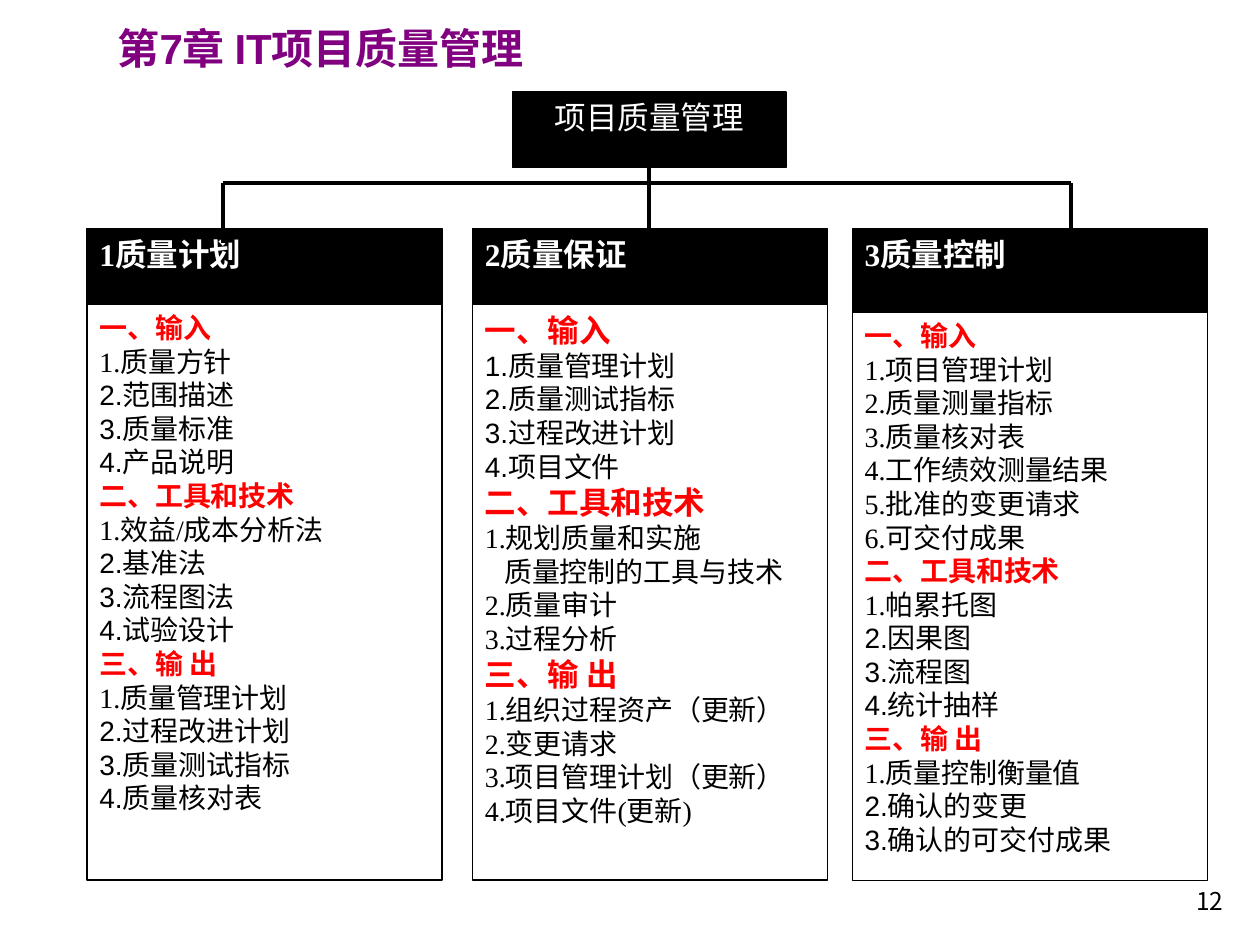
from lxml import etree
from pptx import Presentation
from pptx.dml.color import RGBColor
from pptx.enum import shapes, text
from pptx.oxml.ns import qn
from pptx.util import Pt

BLACK = RGBColor(0x00, 0x00, 0x00)
WHITE = RGBColor(0xFF, 0xFF, 0xFF)
RED = RGBColor(0xFF, 0x00, 0x00)
PURPLE = RGBColor(0x80, 0x00, 0x80)
SERIF, SANS, CJK = "Times New Roman", "Arial", "Noto Sans CJK SC"
LEFT, CENTER, RIGHT = text.PP_ALIGN.LEFT, text.PP_ALIGN.CENTER, text.PP_ALIGN.RIGHT


def write(para, words, size, font, color, bold=False, align=LEFT):
    para.text = words
    para.alignment = align
    para.line_spacing = Pt(size * 1.2)
    para.space_before = Pt(0)
    for span in para.runs:
        span.font.name = font
        span.font.size = Pt(size)
        span.font.bold = bold
        span.font.color.rgb = color
        etree.SubElement(span.font._element, qn("a:ea"), typeface=CJK)


def add_box(left, top, width, height, fill):
    box = page.shapes.add_shape(shapes.MSO_SHAPE.RECTANGLE,
                                Pt(left), Pt(top), Pt(width), Pt(height))
    box.shadow.inherit = False
    box.fill.solid()
    box.fill.fore_color.rgb = fill
    box.line.color.rgb = BLACK
    box.line.width = Pt(0.75)
    box.text_frame.vertical_anchor = text.MSO_ANCHOR.TOP
    return box.text_frame


deck = Presentation()
deck.slide_width, deck.slide_height = Pt(720), Pt(540)
page = deck.slides.add_slide(deck.slide_layouts[5])

title = page.shapes.title
title.left, title.top, title.width, title.height = Pt(60), Pt(9.4), Pt(290), Pt(36)
title.text_frame.word_wrap = False
title.text_frame.auto_size = text.MSO_AUTO_SIZE.NONE
title.text_frame.vertical_anchor = text.MSO_ANCHOR.TOP
write(title.text_frame.paragraphs[0], "第7章 IT项目质量管理", 24, SANS, PURPLE, True)

number = page.shapes.add_textbox(Pt(643.7), Pt(502.6), Pt(62.6), Pt(33.8))
number.text_frame.word_wrap = True
write(number.text_frame.paragraphs[0], "12", 14, CJK, BLACK, align=RIGHT)

root = add_box(293, 52.6, 156.2, 43.2, BLACK)
write(root.paragraphs[0], "项目质量管理", 18, SERIF, WHITE, align=CENTER)

# Column: left, header height, heading size, header, sections.
# Section: heading, how many leading items are in the serif font, items.
COLUMNS = [
    (49.7, 43.2, 16, "1质量计划", [
        ("一、输入", 1, ["1.质量方针", "2.范围描述", "3.质量标准", "4.产品说明"]),
        ("二、工具和技术", 1, ["1.效益/成本分析法", "2.基准法", "3.流程图法", "4.试验设计"]),
        ("三、输 出", 1, ["1.质量管理计划", "2.过程改进计划", "3.质量测试指标",
                       "4.质量核对表"]),
    ]),
    (270, 43.2, 18, "2质量保证", [
        ("一、输入", 0, ["1.质量管理计划", "2.质量测试指标", "3.过程改进计划", "4.项目文件"]),
        ("二、工具和技术", 5, ["1.规划质量和实施", "质量控制的工具与技术", "2.质量审计",
                          "3.过程分析"]),
        ("三、输 出", 4, ["1.组织过程资产（更新）", "2.变更请求", "3.项目管理计划（更新）",
                       "4.项目文件(更新)"]),
    ]),
    (487, 47.7, 16, "3质量控制", [
        ("一、输入", 6, ["1.项目管理计划", "2.质量测量指标", "3.质量核对表",
                     "4.工作绩效测量结果", "5.批准的变更请求", "6.可交付成果"]),
        ("二、工具和技术", 1, ["1.帕累托图", "2.因果图", "3.流程图", "4.统计抽样"]),
        ("三、输 出", 1, ["1.质量控制衡量值", "2.确认的变更", "3.确认的可交付成果"]),
    ]),
]
TOP, BOTTOM, WIDTH = 130.8, 503, 203

for left, header_height, heading_size, header, sections in COLUMNS:
    head = add_box(left, TOP, WIDTH, header_height, BLACK)
    write(head.paragraphs[0], header, 18, SERIF, WHITE, True)
    body_top = TOP + header_height
    body = add_box(left, body_top, WIDTH, BOTTOM - body_top, WHITE)
    para = body.paragraphs[0]
    for heading, serif_count, items in sections:
        write(para, heading, heading_size, SERIF, RED, True)
        for index, item in enumerate(items):
            para = body.add_paragraph()
            write(para, item, 16, SERIF if index < serif_count else SANS, BLACK)
            if not item[0].isdigit():  # continues the numbered line above
                para._p.get_or_add_pPr().set("marL", str(Pt(11)))
        if heading != sections[-1][0]:
            para = body.add_paragraph()

BAR_Y, LEFT_X, MIDDLE_X, RIGHT_X = 104.5, 127.6, 370.9, 612
for x1, y1, x2, y2 in [
    (LEFT_X, BAR_Y, RIGHT_X, BAR_Y),
    (MIDDLE_X, 88.5, MIDDLE_X, 131.8),
    (LEFT_X, BAR_Y, LEFT_X, 139),
    (RIGHT_X, BAR_Y, RIGHT_X, 139),
]:
    line = page.shapes.add_connector(shapes.MSO_CONNECTOR.STRAIGHT,
                                     Pt(x1), Pt(y1), Pt(x2), Pt(y2))
    line.line.color.rgb = BLACK
    line.line.width = Pt(2.25)
    etree.SubElement(line._element.spPr, qn("a:effectLst"))

deck.save("out.pptx")
